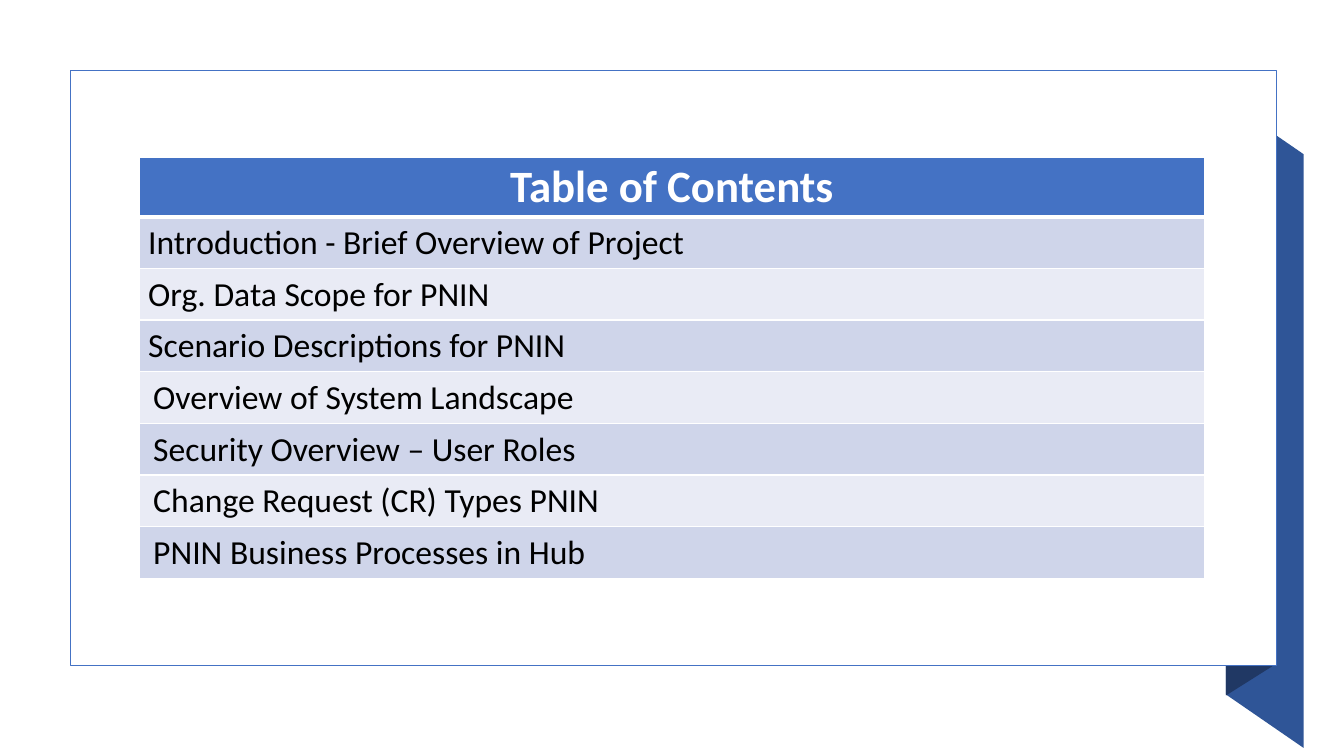
from dataclasses import dataclass

from lxml.etree import SubElement
from pptx import Presentation
from pptx.dml.color import RGBColor
from pptx.enum.shapes import MSO_SHAPE
from pptx.enum.text import MSO_ANCHOR, PP_ALIGN
from pptx.oxml.ns import qn
from pptx.util import Inches, Pt


@dataclass(frozen=True)
class Theme:
    font: str = "Calibri"
    title_size: int = 32
    item_size: int = 24
    white: str = "FFFFFF"
    black: str = "000000"
    accent: str = "4472C4"
    ribbon: str = "2F5597"
    fold: str = "203864"
    bands: tuple = ("CFD5EA", "E9EBF5")


THEME = Theme()
TITLE = "Table of Contents"
ITEMS = [
    ("Introduction - Brief Overview of Project", 0.08),
    ("Org. Data Scope for PNIN", 0.08),
    ("Scenario Descriptions for PNIN", 0.08),
    ("Overview of System Landscape", 0.13),
    ("Security Overview – User Roles", 0.13),
    ("Change Request (CR) Types PNIN", 0.13),
    ("PNIN Business Processes in Hub", 0.13),
]
TABLE_HEIGHT = 4.18
HEADER_HEIGHT = 0.59
RIBBON = [(12.93, 7.42), (12.16, 6.89), (12.16, 1), (12.93, 1.53)]
FOLD = [(12.62, 6.61), (12.16, 6.9), (12.16, 1), (12.62, 0.7)]


def paint(sp, color):
    sp.shadow.inherit = False
    sp.fill.solid()
    sp.fill.fore_color.rgb = RGBColor.from_string(color)


def add_polygon(s, points, color):
    corners = [(Inches(x), Inches(y)) for x, y in points]
    builder = s.shapes.build_freeform(*corners[0], scale=1.0)
    builder.add_line_segments(corners[1:], close=True)
    sp = builder.convert_to_shape()
    paint(sp, color)
    sp.line.fill.background()


def add_panel(s):
    sp = s.shapes.add_shape(
        MSO_SHAPE.RECTANGLE, Inches(0.7), Inches(0.7), Inches(11.96), Inches(5.9)
    )
    paint(sp, THEME.white)
    sp.line.color.rgb = RGBColor.from_string(THEME.accent)
    sp.line.width = Pt(1)


def set_borders(cell, top=1, bottom=1):
    tc_pr = cell._tc.get_or_add_tcPr()
    for side, width in (("L", 1), ("R", 1), ("T", top), ("B", bottom)):
        ln = SubElement(tc_pr, qn(f"a:ln{side}"), w=str(Pt(width)))
        fill = SubElement(ln, qn("a:solidFill"))
        SubElement(fill, qn("a:srgbClr"), val=THEME.white)


def fill_cell(cell, text, size, color, background, bold=False):
    cell.fill.solid()
    cell.fill.fore_color.rgb = RGBColor.from_string(background)
    cell.vertical_anchor = MSO_ANCHOR.MIDDLE
    cell.margin_left = cell.margin_top = cell.margin_right = Inches(0.01)
    cell.margin_bottom = 0
    p = cell.text_frame.paragraphs[0]
    p.text = text
    font = p.runs[0].font
    font.name = THEME.font
    font.size = Pt(size)
    font.bold = bold
    font.color.rgb = RGBColor.from_string(color)
    return p


def add_contents(s):
    table = s.shapes.add_table(
        len(ITEMS) + 1, 1, Inches(1.38), Inches(1.56), Inches(10.57), Inches(TABLE_HEIGHT)
    ).table
    header = table.cell(0, 0)
    table.rows[0].height = Inches(HEADER_HEIGHT)
    set_borders(header, bottom=3)
    p = fill_cell(header, TITLE, THEME.title_size, THEME.white, THEME.accent, True)
    p.alignment = PP_ALIGN.CENTER
    item_height = Inches((TABLE_HEIGHT - HEADER_HEIGHT) / len(ITEMS))
    for i, (text, indent) in enumerate(ITEMS):
        table.rows[i + 1].height = item_height
        cell = table.cell(i + 1, 0)
        set_borders(cell, top=3 if i == 0 else 1)
        p = fill_cell(cell, text, THEME.item_size, THEME.black, THEME.bands[i % 2])
        p_pr = p._p.get_or_add_pPr()
        p_pr.set("marL", "0")
        p_pr.set("indent", str(Inches(indent)))


def main():
    prs = Presentation()
    prs.slide_width, prs.slide_height = Inches(13.33), Inches(7.5)
    s = prs.slides.add_slide(prs.slide_layouts[6])
    add_polygon(s, RIBBON, THEME.ribbon)
    add_polygon(s, FOLD, THEME.fold)
    add_panel(s)
    add_contents(s)
    prs.save("out.pptx")


if __name__ == "__main__":
    main()
